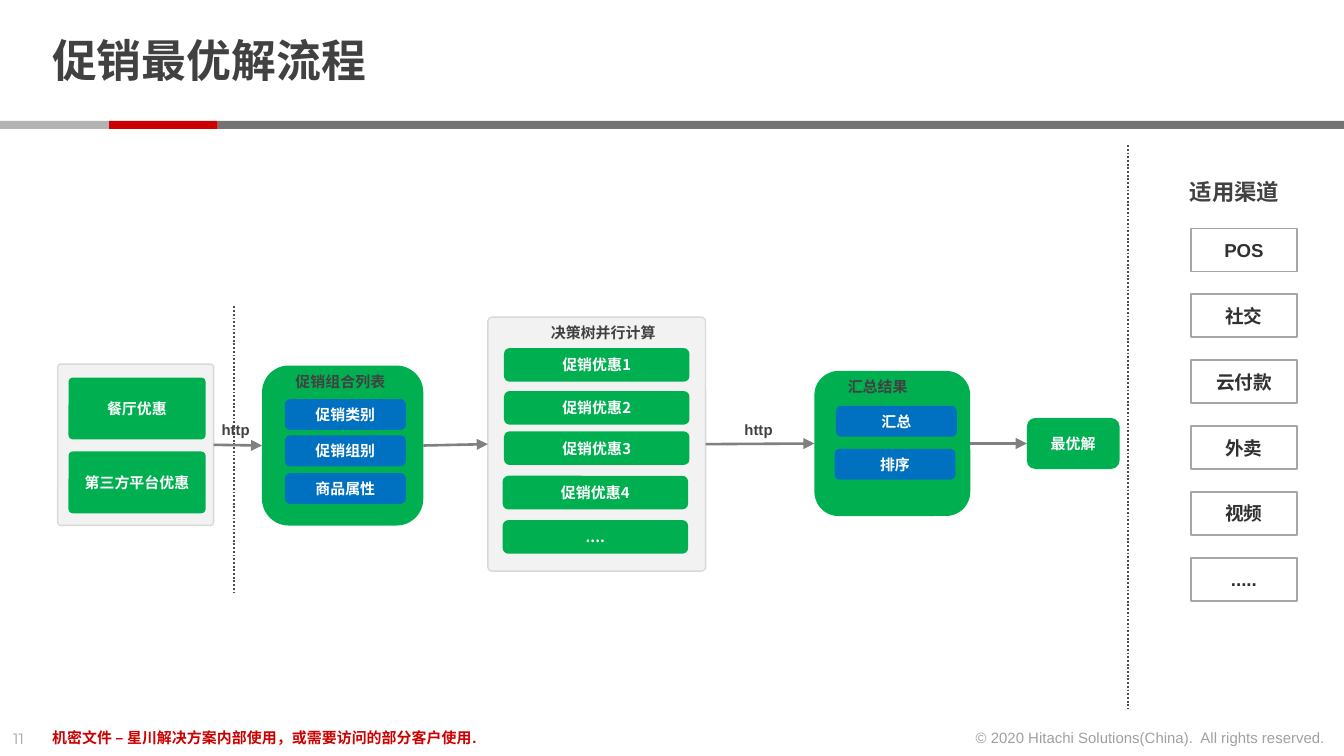
from lxml import etree
from pptx import Presentation
from pptx.dml.color import RGBColor
from pptx.enum.dml import MSO_LINE
from pptx.enum.shapes import MSO_CONNECTOR, MSO_SHAPE
from pptx.enum.text import MSO_ANCHOR, PP_ALIGN
from pptx.oxml.ns import qn
from pptx.util import Inches, Pt

RECT, ROUND = MSO_SHAPE.RECTANGLE, MSO_SHAPE.ROUNDED_RECTANGLE
STRAIGHT, DOTTED = MSO_CONNECTOR.STRAIGHT, MSO_LINE.ROUND_DOT
TOP, MIDDLE = MSO_ANCHOR.TOP, MSO_ANCHOR.MIDDLE
LEFT, CENTER, RIGHT = PP_ALIGN.LEFT, PP_ALIGN.CENTER, PP_ALIGN.RIGHT
LEFT_SIDE, RIGHT_SIDE = 1, 3
GREEN, BLUE, RED = "00B050", "0070C0", "CC0000"
PALE, PALE_EDGE, WHITE = "F2F2F2", "D9D9D9", "FFFFFF"
DARK, INK, FAINT, ARROW, DOTS = "414141", "313131", "A0A0A0", "808080", "4C4C4C"
CJK = "Noto Sans CJK SC"
DEFAULT_ROUNDING = 0.17

# Header bars as (left, width, colour)
BARS = [(1.62, 8.38, "737373"), (0.81, 0.81, RED), (0, 0.81, "B3B3B3")]

# Stages of the flow, left to right; items are (text, left, top)
STAGES = [
    dict(at=(0.43, 2.71, 1.16, 1.2), pale=True, title=None,
         item=dict(size=(1.02, 0.46), fill=GREEN, rounding=0.07),
         items=[("餐厅优惠", 0.51, 2.81), ("第三方平台优惠", 0.51, 3.36)]),
    dict(at=(1.95, 2.72, 1.2, 1.19), pale=False,
         title=("促销组合列表", 2.1, 2.72, 0.9),
         item=dict(size=(0.9, 0.23), fill=BLUE),
         items=[("促销类别", 2.12, 2.97), ("促销组别", 2.12, 3.24),
                ("商品属性", 2.12, 3.52)]),
    dict(at=(3.63, 2.36, 1.62, 1.89), pale=True,
         title=("决策树并行计算", 4, 2.36, 1.12),
         item=dict(size=(1.38, 0.25), fill=GREEN, font=CJK),
         items=[("促销优惠1", 3.75, 2.59), ("促销优惠2", 3.75, 2.91),
                ("促销优惠3", 3.75, 3.21), ("促销优惠4", 3.74, 3.54),
                ("....", 3.74, 3.87)]),
    dict(at=(6.06, 2.76, 1.16, 1.08), pale=False,
         title=("汇总结果", 6.21, 2.76, 0.9),
         item=dict(size=(0.9, 0.23), fill=BLUE),
         items=[("汇总", 6.22, 3.02), ("排序", 6.21, 3.34)]),
]
RESULT = ("最优解", (7.64, 3.11, 0.69, 0.38))
HTTP_LEFTS = [1.55, 5.44]
DIVIDERS = [(1.74, 2.28, 4.42), (8.39, 1.08, 5.27)]  # x, top, bottom

CHANNELS = ["POS", "社交", "云付款", "外卖", "视频", "....."]
CHANNEL_TOP, CHANNEL_PITCH = 1.7, 0.49

# Footer as (text, place, style)
FOOTER = [
    ("11", (0, 5.38, 0.34, 0.24),
     dict(font="Montserrat", color=FAINT, bold=False, wrap=False)),
    ("机密文件 – 星川解决方案内部使用，或需要访问的部分客户使用.",
     (0.29, 5.37, 6.74, 0.24), dict(color=RED)),
    ("© 2020 Hitachi Solutions(China).  All rights reserved.",
     (7.12, 5.37, 2.84, 0.24),
     dict(color=FAINT, bold=False, align=RIGHT, wrap=False)),
]


def rgb(value):
    return RGBColor.from_string(value)


def write(shape, text, size=8, font="Arial", color=DARK, bold=True,
          align=LEFT, anchor=TOP, wrap=True):
    frame = shape.text_frame
    frame.text = text
    frame.word_wrap = wrap
    frame.vertical_anchor = anchor
    para = frame.paragraphs[0]
    para.alignment = align
    span = para.runs[0].font
    span.name, span.size, span.bold = font, Pt(size), bold
    span.color.rgb = rgb(color)


def add_text(page, at, text, **style):
    box = page.shapes.add_textbox(*map(Inches, at))
    write(box, text, **style)
    return box


def add_box(page, kind, at, fill=None, edge=None, weight=1, rounding=None):
    box = page.shapes.add_shape(kind, *map(Inches, at))
    box.shadow.inherit = False
    if fill:
        box.fill.solid()
        box.fill.fore_color.rgb = rgb(fill)
    else:
        box.fill.background()
    if edge:
        box.line.color.rgb = rgb(edge)
        box.line.width = Pt(weight)
    else:
        box.line.fill.background()
    if rounding is not None:
        box.adjustments[0] = rounding
    return box


def add_line(page, start, end, color, weight):
    line = page.shapes.add_connector(STRAIGHT, *map(Inches, start + end))
    line.line.color.rgb = rgb(color)
    line.line.width = Pt(weight)
    etree.SubElement(line._element.spPr, qn("a:effectLst"))
    return line


def join(page, source, target):
    arrow = add_line(page, (0, 0), (1, 1), ARROW, 1.4)
    arrow.begin_connect(source, RIGHT_SIDE)
    arrow.end_connect(target, LEFT_SIDE)
    outline = arrow._element.spPr.find(qn("a:ln"))
    etree.SubElement(outline, qn("a:tailEnd"), type="triangle")


def add_stage(page, stage):
    if stage["pale"]:
        panel = add_box(page, ROUND, stage["at"], PALE, PALE_EDGE, 0.75, 0.02)
    else:
        panel = add_box(page, ROUND, stage["at"], GREEN)
    if stage["title"]:
        text, left, top, width = stage["title"]
        add_text(page, (left, top, width, 0.23), text)
    item = stage["item"]
    for text, left, top in stage["items"]:
        box = add_box(page, ROUND, (left, top) + item["size"], item["fill"],
                      rounding=item.get("rounding", DEFAULT_ROUNDING))
        write(box, text, font=item.get("font", "Arial"), color=WHITE,
              align=CENTER, anchor=MIDDLE)
    return panel


def main():
    deck = Presentation()
    deck.slide_width = Inches(10)
    deck.slide_height = deck.slide_width * 9 // 16
    page = deck.slides.add_slide(deck.slide_layouts[6])

    # Header and footer
    for left, width, color in BARS:
        add_box(page, RECT, (left, 0.9, width, 0.06), color)
    title = add_text(page, (0.29, 0.11, 7.71, 0.73), "促销最优解流程", size=24,
                     font="Montserrat", anchor=MIDDLE)
    title.text_frame.margin_top = title.text_frame.margin_bottom = 0
    title.text_frame.paragraphs[0].line_spacing = 0.85
    for text, at, style in FOOTER:
        add_text(page, at, text, **style)

    # Dotted dividers
    for x, top, bottom in DIVIDERS:
        add_line(page, (x, top), (x, bottom), DOTS, 1).line.dash_style = DOTTED

    # Flow: stages, result and the arrows between neighbours
    steps = [add_stage(page, stage) for stage in STAGES]
    text, at = RESULT
    result = add_box(page, ROUND, at, GREEN)
    write(result, text, color=WHITE, align=CENTER, anchor=MIDDLE)
    steps.append(result)
    for source, target in zip(steps, steps[1:]):
        join(page, source, target)
    for left in HTTP_LEFTS:
        add_text(page, (left, 3.08, 0.51, 0.23), "http")

    # Channel column
    add_text(page, (8.73, 1.28, 0.91, 0.3), "适用渠道", size=12, font=CJK, align=CENTER)
    for index, channel in enumerate(CHANNELS):
        top = CHANNEL_TOP + index * CHANNEL_PITCH
        box = add_box(page, RECT, (8.86, top, 0.79, 0.32), edge="A6A6A6")
        write(box, channel, size=10, color=INK, align=CENTER, anchor=MIDDLE)

    deck.save("out.pptx")


if __name__ == "__main__":
    main()
